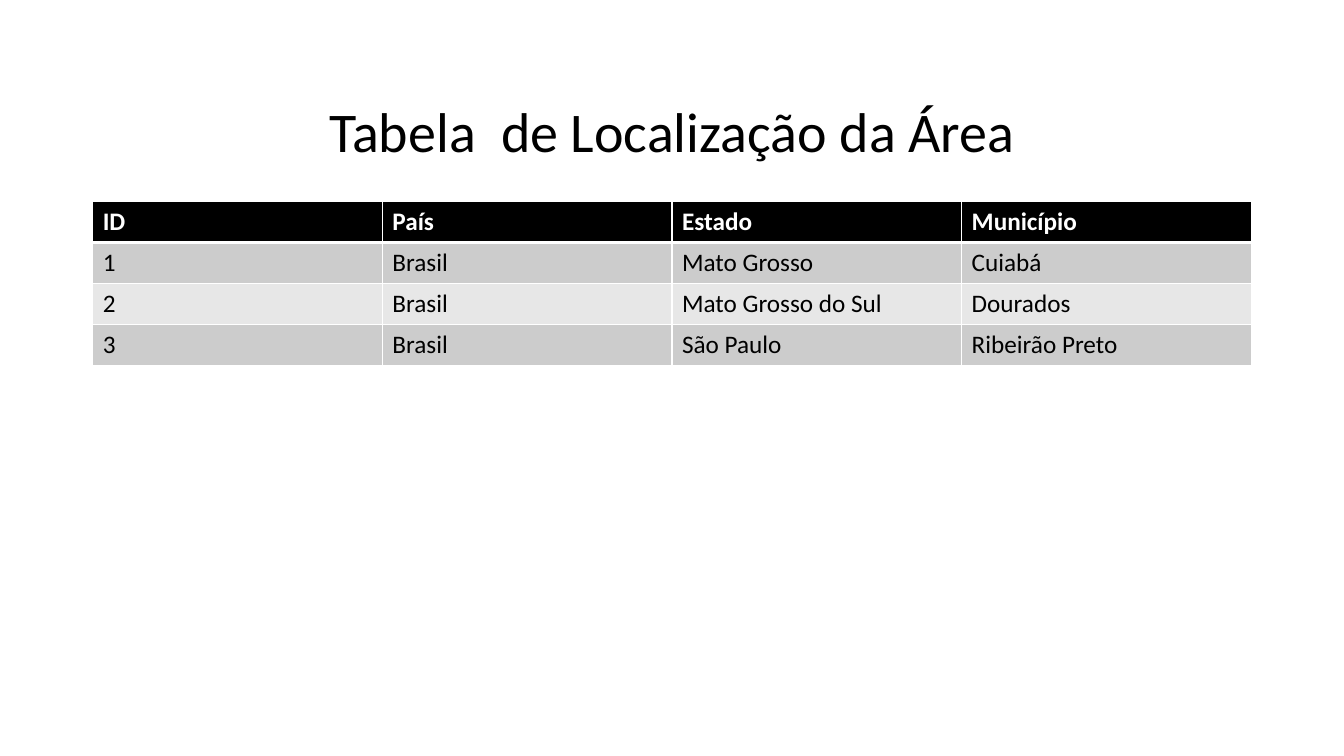
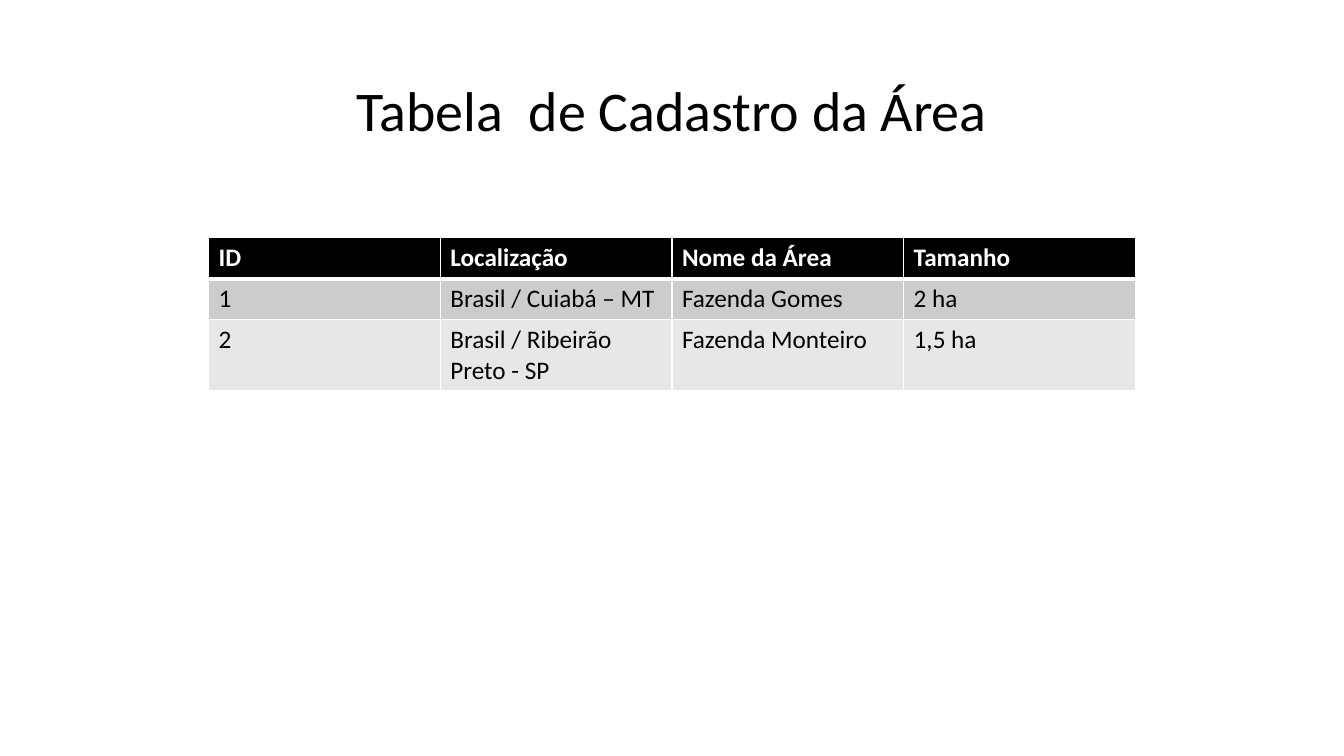
import pptx
import pptx.dml.color
import pptx.enum.text
import pptx.oxml
import pptx.oxml.ns
import pptx.util

HUES = {"ink": "000000", "paper": "FFFFFF", "odd": "CCCCCC", "even": "E7E7E7"}
FONT = "Calibri"
WIDE, HIGH = pptx.util.Inches(13.33), pptx.util.Inches(7.5)
COLS, ROWS = 58, 150
ROW = 8.11

AREAS = [
    ["ID", "País", "Estado", "Município"],
    ["1", "Brasil", "Mato Grosso", "Cuiabá"],
    ["2", "Brasil", "Mato Grosso do Sul", "Dourados"],
    ["3", "Brasil", "São Paulo", "Ribeirão Preto"],
]
FARMS = [
    ["ID", "Localização", "Nome da Área", "Tamanho"],
    ["1", "Brasil / Cuiabá – MT", "Fazenda Gomes", "2 ha"],
    ["2", "Brasil / Ribeirão Preto - SP", "Fazenda Monteiro", "1,5 ha"],
]


def grid(left, top, wide, high):
    """Turn grid columns and rows into slide lengths."""
    return (int(left * WIDE / COLS), int(top * HIGH / ROWS),
            int(wide * WIDE / COLS), int(high * HIGH / ROWS))


def style(para, size, hue, bold=False):
    """Set the font of a whole paragraph."""
    font = para.font
    font.name, font.size, font.bold = FONT, pptx.util.Pt(size), bold
    font.color.rgb = pptx.dml.color.RGBColor.from_string(HUES[hue])


def title(slide, box, text, space=1.0):
    """Write a centred title in the middle of its box."""
    frame = slide.shapes.add_textbox(*grid(*box)).text_frame
    frame.word_wrap = True
    frame.vertical_anchor = pptx.enum.text.MSO_ANCHOR.MIDDLE
    para = frame.paragraphs[0]
    para.text = text
    para.alignment = pptx.enum.text.PP_ALIGN.CENTER
    para.line_spacing = space
    style(para, 40, "ink")


def edge(cell, side, width):
    """Draw one border of a cell."""
    xml = (f'<a:ln{side} {pptx.oxml.ns.nsdecls("a")} w="{pptx.util.Pt(width)}">'
           f'<a:solidFill><a:srgbClr val="{HUES["paper"]}"/></a:solidFill>'
           f'</a:ln{side}>')
    cell._tc.get_or_add_tcPr().append(pptx.oxml.parse_xml(xml))


def table(slide, left, top, wide, data):
    """Build a table with a dark header and banded rows."""
    box = grid(left, top, wide, ROW * len(data))
    grille = slide.shapes.add_table(len(data), len(data[0]), *box).table
    for r, line in enumerate(data):
        head = r == 0
        band = "ink" if head else "odd" if r % 2 else "even"
        for c, text in enumerate(line):
            cell = grille.cell(r, c)
            cell.text = text
            style(cell.text_frame.paragraphs[0], 18, "paper" if head else "ink", head)
            for side in "LRTB":
                thick = (r, side) in ((0, "B"), (1, "T"))
                edge(cell, side, 3 if thick else 1)
            cell.fill.solid()
            cell.fill.fore_color.rgb = pptx.dml.color.RGBColor.from_string(HUES[band])


def places(slide):
    """Show the table of locations."""
    table(slide, 4, 40, 50, AREAS)
    title(slide, (4.5, 18.2, 49, 15.4), "Tabela  de Localização da Área")


def records(slide):
    """Show the table of registered areas."""
    title(slide, (4, 8, 50, 29), "Tabela  de Cadastro da Área", 0.9)
    table(slide, 9, 47.2, 40, FARMS)


def main():
    """Build and save the slides."""
    deck = pptx.Presentation()
    deck.slide_width, deck.slide_height = WIDE, HIGH
    for build in (places, records):
        build(deck.slides.add_slide(deck.slide_layouts[6]))
    deck.save("out.pptx")


if __name__ == "__main__":
    main()
